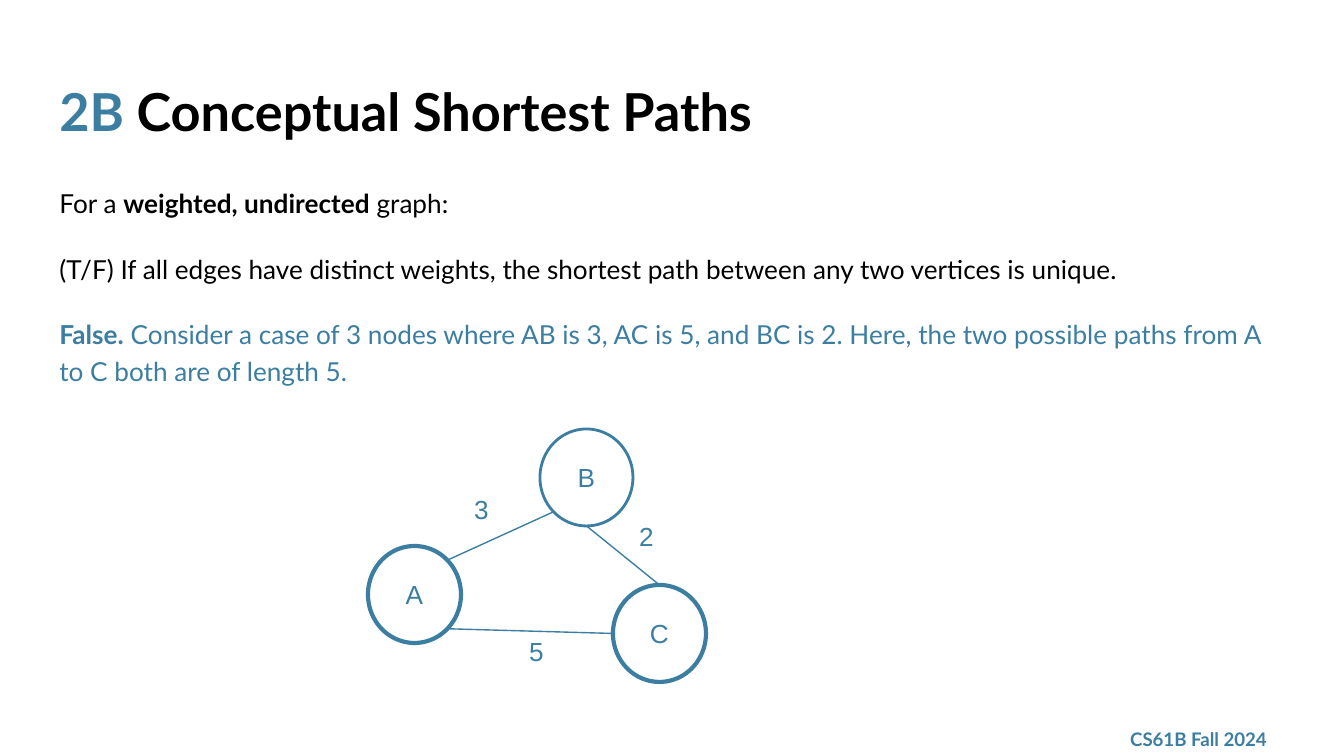
from math import cos, radians, sin

from lxml.etree import SubElement
from pptx import Presentation
from pptx.dml.color import RGBColor
from pptx.enum.shapes import MSO_CONNECTOR as Connector, MSO_SHAPE as Shape
from pptx.enum.text import MSO_ANCHOR as Anchor, MSO_AUTO_SIZE as AutoSize, PP_ALIGN as Align
from pptx.oxml.ns import qn
from pptx.util import Emu, Pt

# Content: paragraphs are lists of (text, bold, colour) runs
TITLE = [[("2B", True, "accent"), (" Conceptual Shortest Paths", True, "ink")]]
BODY = [
    [("For a ", False, "ink"), ("weighted, undirected", True, "ink"), (" graph:", False, "ink")],
    [("(T/F) If all edges have distinct weights, the shortest path between "
      "any two vertices is unique.", False, "ink")],
    [("False.", True, "accent"),
     (" Consider a case of 3 nodes where AB is 3, AC is 5, and BC is 2. Here, "
      "the two possible paths from A to C both are of length 5.", False, "accent")],
]
FOOTER = [[("CS61B Fall 2024", True, "accent")]]

# Graph: node -> (left, top, outline pt)
NODES = {"A": (368, 546, 2.25), "B": (540, 429, 1.5), "C": (613, 585, 2.25)}
NODE_SIZE = (93, 97)
# Edge: (start node, angle), (end node, angle), weight, weight label left and top;
# angles run clockwise from the right, in degrees
EDGES = [
    (("A", -45), ("B", 135), "3", (461, 480)),
    (("B", 90), ("C", -90), "2", (626, 507)),
    (("A", 45), ("C", 180), "5", (516, 622)),
]
LABEL_SIZE = (43, 59)


class Theme:
    colors = {"ink": RGBColor(0, 0, 0), "accent": RGBColor(0x3B, 0x7E, 0xA1)}
    text_font, graph_font = "Lato", "Arial"
    title_size, body_size, footer_size = 28, 14, 10
    edge_width = 0.75


def px(value):
    return Emu(round(value * 914400 / 134.4))


def place(shape, left, top, width, height):
    shape.left, shape.top, shape.width, shape.height = map(px, (left, top, width, height))
    return shape


def write(shape, paragraphs, size=Theme.body_size, font=Theme.text_font, align=Align.LEFT,
          anchor=Anchor.TOP, line_spacing=1.0, gap=0, after=0, auto_size=AutoSize.NONE):
    frame = shape.text_frame
    frame.word_wrap, frame.auto_size, frame.vertical_anchor = True, auto_size, anchor
    frame.margin_left = frame.margin_right = frame.margin_top = frame.margin_bottom = Emu(91440)
    for index, runs in enumerate(paragraphs):
        paragraph = frame.add_paragraph() if index else frame.paragraphs[0]
        properties = paragraph._p.get_or_add_pPr()
        properties.set("marL", "0")
        properties.set("indent", "0")
        SubElement(properties, qn("a:buNone"))
        paragraph.alignment = align
        paragraph.line_spacing = line_spacing
        paragraph.space_before = Pt(gap if index else 0)
        paragraph.space_after = Pt(after if index == len(paragraphs) - 1 else 0)
        for text, bold, color in runs:
            run = paragraph.add_run()
            run.text = text
            run.font.name, run.font.size, run.font.bold = font, Pt(size), bold
            run.font.color.rgb = Theme.colors[color]


def rim_point(node, angle):
    left, top, _ = NODES[node]
    width, height = NODE_SIZE
    turn = radians(angle)
    return px(left + width / 2 * (1 + cos(turn))), px(top + height / 2 * (1 + sin(turn)))


def add_node(slide, name):
    left, top, outline = NODES[name]
    node = place(slide.shapes.add_shape(Shape.OVAL, 0, 0, 0, 0), left, top, *NODE_SIZE)
    node.shadow.inherit = False
    node.fill.background()
    node.line.color.rgb = Theme.colors["accent"]
    node.line.width = Pt(outline)
    write(node, [[(name, False, "accent")]], font=Theme.graph_font,
          align=Align.CENTER, anchor=Anchor.MIDDLE)


def add_edge(slide, start, end):
    edge = slide.shapes.add_connector(Connector.STRAIGHT, *rim_point(*start), *rim_point(*end))
    edge.line.color.rgb = Theme.colors["accent"]
    edge.line.width = Pt(Theme.edge_width)
    SubElement(edge._element.spPr, qn("a:effectLst"))


def add_text(slide, box, paragraphs, **text_format):
    write(place(slide.shapes.add_textbox(0, 0, 0, 0), *box), paragraphs, **text_format)


def main():
    deck = Presentation()
    deck.slide_width, deck.slide_height = px(1344), px(756)
    slide = deck.slides.add_slide(deck.slide_layouts[1])

    # Title, statement and footer
    write(place(slide.shapes.title, 46, 66, 1252, 85), TITLE, size=Theme.title_size)
    write(place(slide.placeholders[1], 46, 169, 1252, 241), BODY,
          line_spacing=1.15, gap=16, after=16)
    add_text(slide, (1117, 722, 181, 35), FOOTER, size=Theme.footer_size, anchor=Anchor.MIDDLE)

    # Weighted graph
    for name in NODES:
        add_node(slide, name)
    for start, end, weight, corner in EDGES:
        add_edge(slide, start, end)
        add_text(slide, (*corner, *LABEL_SIZE), [[(weight, False, "accent")]],
                 font=Theme.graph_font, auto_size=AutoSize.SHAPE_TO_FIT_TEXT)

    deck.save("out.pptx")


if __name__ == "__main__":
    main()
